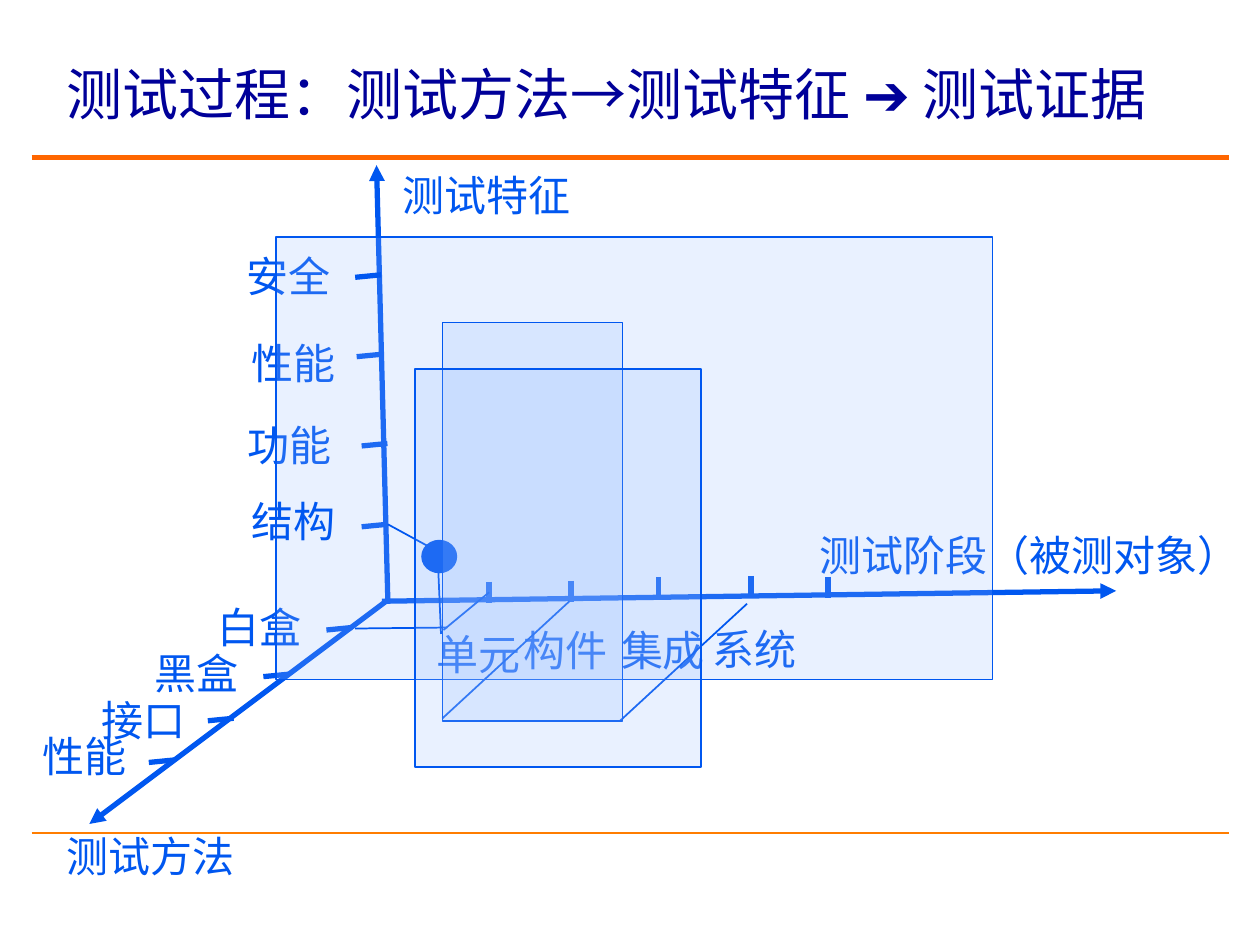
from lxml.etree import SubElement
from pptx import Presentation
from pptx.dml.color import RGBColor
from pptx.enum.shapes import MSO_CONNECTOR as CONN, MSO_SHAPE as SHAPE
from pptx.enum.text import MSO_ANCHOR as ANCHOR
from pptx.oxml.ns import qn
from pptx.util import Cm, Pt

BLUE, PALE, NAVY = "0057F0", "93BAFF", "000099"


def rgb(color):
    return RGBColor.from_string(color)


def add_text(text, x, y, w, h=1.27, size=24, font="Times New Roman", color=BLUE,
             wrap=False, anchor=ANCHOR.TOP, spacing=None):
    tf = s.shapes.add_textbox(Cm(x), Cm(y), Cm(w), Cm(h)).text_frame
    tf.word_wrap = wrap
    tf.vertical_anchor = anchor
    p = tf.paragraphs[0]
    p.line_spacing = spacing
    r = p.add_run()
    r.text = text
    r.font.size = Pt(size)
    r.font.name = font
    r.font.color.rgb = rgb(color)


prs = Presentation()
prs.slide_width, prs.slide_height = Cm(25.4), Cm(19.05)
s = prs.slides.add_slide(prs.slide_layouts[6])

rules = [(0.64, 16.79, 24.77, 16.79, "FF7D00", 1, False),
         (0.64, 3.18, 24.77, 3.18, "FF6600", 3, False)]
axes = [(7.7, 12.12, 22.5, 11.91, BLUE, 3, True),
        (7.82, 12.17, 7.59, 3.33, BLUE, 3, True),
        (7.85, 12.07, 1.8, 16.61, BLUE, 3, True)]
stage_ticks = [(x, y, x, y + 0.42, BLUE, 3, False) for x, y in
               [(9.86, 11.73), (11.51, 11.71), (13.28, 11.63), (15.14, 11.61), (16.69, 11.63)]]
side_ticks = [(x, y, x + 0.52, y - 0.05, BLUE, 3, False) for x, y in
              [(6.58, 12.7), (5.31, 13.64), (4.19, 14.53), (3, 15.37),
               (7.29, 10.62), (7.29, 8.99), (7.19, 7.19), (7.16, 5.59)]]
guides = [(*ends, BLUE, 1, False) for ends in
          [(8.92, 14.48, 11.48, 12.12), (12.5, 14.53, 15.06, 12.17),
           (7.16, 12.67, 9.02, 12.65), (9.86, 11.94, 8.94, 12.7),
           (8.81, 10.9, 8.89, 12.78), (7.82, 10.57, 8.61, 11)]]
labels = [("测试阶段（被测对象）", 16.28, 10.54), ("测试方法", 1.09, 16.61), ("测试特征", 7.87, 3.3),
          ("单元", 8.56, 12.55), ("构件", 10.31, 12.47), ("集成", 12.27, 12.47), ("系统", 14.12, 12.45),
          ("白盒", 4.14, 12.01), ("黑盒", 2.87, 12.93), ("接口", 1.8, 13.87), ("性能", 0.61, 14.61),
          ("功能", 4.75, 8.33), ("性能", 4.83, 6.68), ("安全", 4.72, 4.93)]
back_plane = [(SHAPE.RECTANGLE, 5.56, 4.78, 14.45, 8.92, PALE, 20)]
front_shapes = [(SHAPE.OVAL, 8.51, 10.9, 0.69, 0.64, BLUE, 100),
                (SHAPE.RECTANGLE, 8.92, 6.5, 3.63, 8.03, PALE, 20),
                (SHAPE.RECTANGLE, 8.36, 7.44, 5.77, 8.03, PALE, 20)]
layers = [(rules + axes + stage_ticks + side_ticks[:-1], labels, back_plane),
          (side_ticks[-1:] + guides, [("结构", 4.83, 9.86)], front_shapes)]

add_text("测试过程：测试方法→测试特征 ➔ 测试证据", 1.09, 0.64, 23.14, 2.34, size=32, font="Arial",
         color=NAVY, wrap=True, anchor=ANCHOR.MIDDLE, spacing=Pt(42))

for lines, texts, shapes in layers:
    for x1, y1, x2, y2, color, width, arrow in lines:
        c = s.shapes.add_connector(CONN.STRAIGHT, Cm(x1), Cm(y1), Cm(x2), Cm(y2))
        c.line.color.rgb = rgb(color)
        c.line.width = Pt(width)
        spPr = c._element.spPr
        if arrow:
            SubElement(spPr.find(qn("a:ln")), qn("a:tailEnd"), type="triangle")
        SubElement(spPr, qn("a:effectLst"))
    for text, x, y in texts:
        add_text(text, x, y, 0.85 * len(text) + 0.54)
    for kind, x, y, w, h, color, opacity in shapes:
        sp = s.shapes.add_shape(kind, Cm(x), Cm(y), Cm(w), Cm(h))
        sp.shadow.inherit = False
        sp.fill.solid()
        sp.fill.fore_color.rgb = rgb(color)
        sp.line.color.rgb = rgb(BLUE)
        sp.line.width = Pt(1)
        if opacity < 100:
            clr = sp._element.spPr.find(qn("a:solidFill")).find(qn("a:srgbClr"))
            SubElement(clr, qn("a:alpha"), val=str(opacity * 1000))

prs.save("out.pptx")
